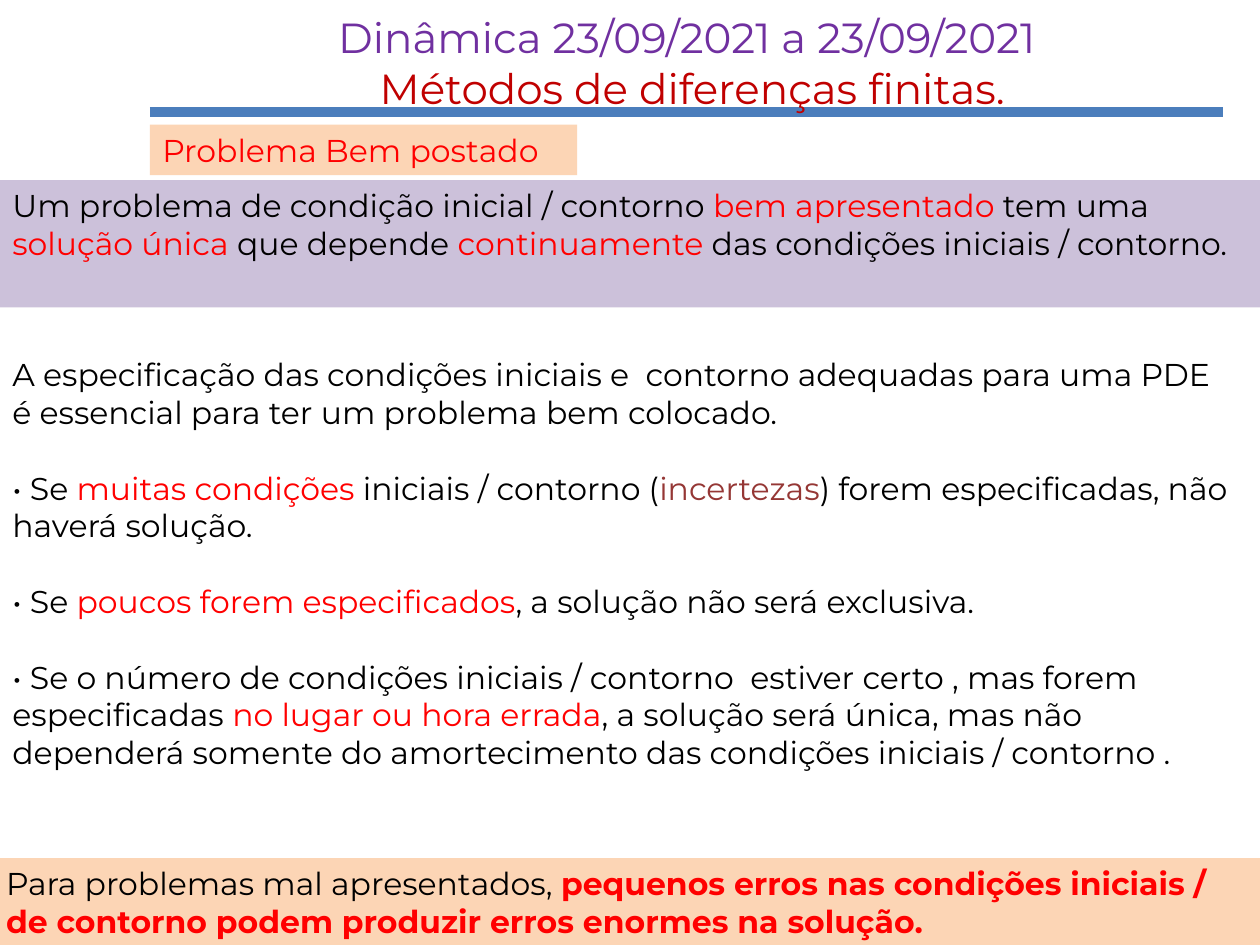
from dataclasses import dataclass

from lxml import etree
from pptx import Presentation
from pptx import util as u
from pptx.dml.color import RGBColor
from pptx.enum import shapes, text
from pptx.oxml.ns import qn


@dataclass(frozen=True)
class Theme:
    font: str = "Montserrat"
    title_size: int = 24
    body_size: int = 18
    paragraph_gap: float = 21.6
    ink: str = "000000"
    accent: str = "FF0000"
    muted_accent: str = "953735"
    date: str = "7030A0"
    topic: str = "C00000"
    rule: str = "4B7EBC"
    peach: str = "FCD5B5"
    lilac: str = "CCC1DA"


THEME = Theme()


def add_run(paragraph, wording, *, size=THEME.body_size, color=THEME.ink, bold=False):
    run = paragraph.add_run()
    run.text = wording
    run.font.name = THEME.font
    run.font.size = u.Pt(size)
    run.font.bold = bold
    run.font.color.rgb = RGBColor.from_string(color)


class SlideBuilder:
    def __init__(self, slide, theme):
        self.slide = slide
        self.theme = theme

    def fill_text(self, frame, paragraphs, *, align=text.PP_ALIGN.LEFT,
                  anchor=text.MSO_ANCHOR.TOP, gap=0, **run_format):
        """Fill a frame; each paragraph is a list of (wording, format) pairs."""
        frame.word_wrap = True
        frame.auto_size = text.MSO_AUTO_SIZE.NONE
        frame.vertical_anchor = anchor
        for index, runs in enumerate(paragraphs):
            paragraph = frame.add_paragraph() if index else frame.paragraphs[0]
            paragraph.alignment = align
            paragraph.space_before = u.Pt(gap if index else 0)
            for wording, own_format in runs:
                add_run(paragraph, wording, **{**run_format, **own_format})

    def title(self, box, paragraphs):
        heading = self.slide.shapes.title
        heading.left, heading.top, heading.width, heading.height = map(u.Inches, box)
        self.fill_text(heading.text_frame, paragraphs, align=text.PP_ALIGN.CENTER,
                       anchor=text.MSO_ANCHOR.MIDDLE, size=self.theme.title_size)

    def rule(self, left, right, y, width):
        line = self.slide.shapes.add_connector(
            shapes.MSO_CONNECTOR.STRAIGHT,
            u.Inches(left), u.Inches(y), u.Inches(right), u.Inches(y))
        line.line.color.rgb = RGBColor.from_string(self.theme.rule)
        line.line.width = u.Pt(width)
        etree.SubElement(line._element.spPr, qn("a:effectLst"))
        # The rule lies behind the title's descenders
        self.slide.shapes._spTree.insert(2, line._element)

    def panel(self, box, fill, paragraphs):
        panel = self.slide.shapes.add_shape(
            shapes.MSO_SHAPE.RECTANGLE, *map(u.Inches, box))
        panel.shadow.inherit = False
        panel.fill.solid()
        panel.fill.fore_color.rgb = RGBColor.from_string(fill)
        panel.line.fill.background()
        self.fill_text(panel.text_frame, paragraphs)

    def body(self, box, paragraphs):
        area = self.slide.shapes.add_textbox(*map(u.Inches, box))
        self.fill_text(area.text_frame, paragraphs, gap=self.theme.paragraph_gap)


def main():
    deck = Presentation()
    deck.slide_width, deck.slide_height = u.Inches(10), u.Inches(7.5)
    builder = SlideBuilder(deck.slides.add_slide(deck.slide_layouts[5]), THEME)
    plain, accent = {}, {"color": THEME.accent}
    left, right = 1.19, 9.71

    # Heading and its rule
    builder.title((left, 0.1, right - left, 0.79), [
        [("Dinâmica 23/09/2021 a 23/09/2021", {"color": THEME.date})],
        [(" Métodos de diferenças finitas.", {"color": THEME.topic})],
    ])
    builder.rule(left, right, 0.89, 6)

    # Section label
    builder.panel((left, 0.99, 3.39, 0.4), THEME.peach,
                  [[("Problema Bem postado", accent)]])

    # Conditions for a well-posed problem
    builder.body((0, 2.77, 9.85, 3.74), [
        [("A especificação das condições iniciais e  contorno adequadas para uma "
          "PDE é essencial para ter um problema bem colocado.", plain)],
        [("• Se ", plain), ("muitas condições ", accent),
         ("iniciais / contorno (", plain),
         ("incertezas", {"color": THEME.muted_accent}),
         (") forem especificadas, não haverá solução.", plain)],
        [("• Se ", plain), ("poucos forem especificados", accent),
         (", a solução não será exclusiva.", plain)],
        [("• Se o número de condições iniciais / contorno  estiver certo , mas "
          "forem especificadas ", plain),
         ("no lugar ou hora errada", accent),
         (", a solução será única, mas não dependerá somente do amortecimento "
          "das condições iniciais / contorno .", plain)],
    ])

    # Definition
    builder.panel((0, 1.43, 10, 1.01), THEME.lilac, [[
        ("Um problema de condição inicial / contorno ", plain),
        ("bem apresentado", accent), (" tem uma ", plain),
        ("solução única ", accent), ("que depende ", plain),
        ("continuamente", accent),
        (" das condições iniciais / contorno.", plain),
    ]])

    # Closing warning
    builder.panel((-0.05, 6.81, 10.06, 0.71), THEME.peach, [[
        ("Para problemas mal apresentados, ", plain),
        ("pequenos erros nas condições iniciais / de contorno podem produzir "
         "erros enormes na solução.", {**accent, "bold": True}),
    ]])

    deck.save("out.pptx")


if __name__ == "__main__":
    main()
